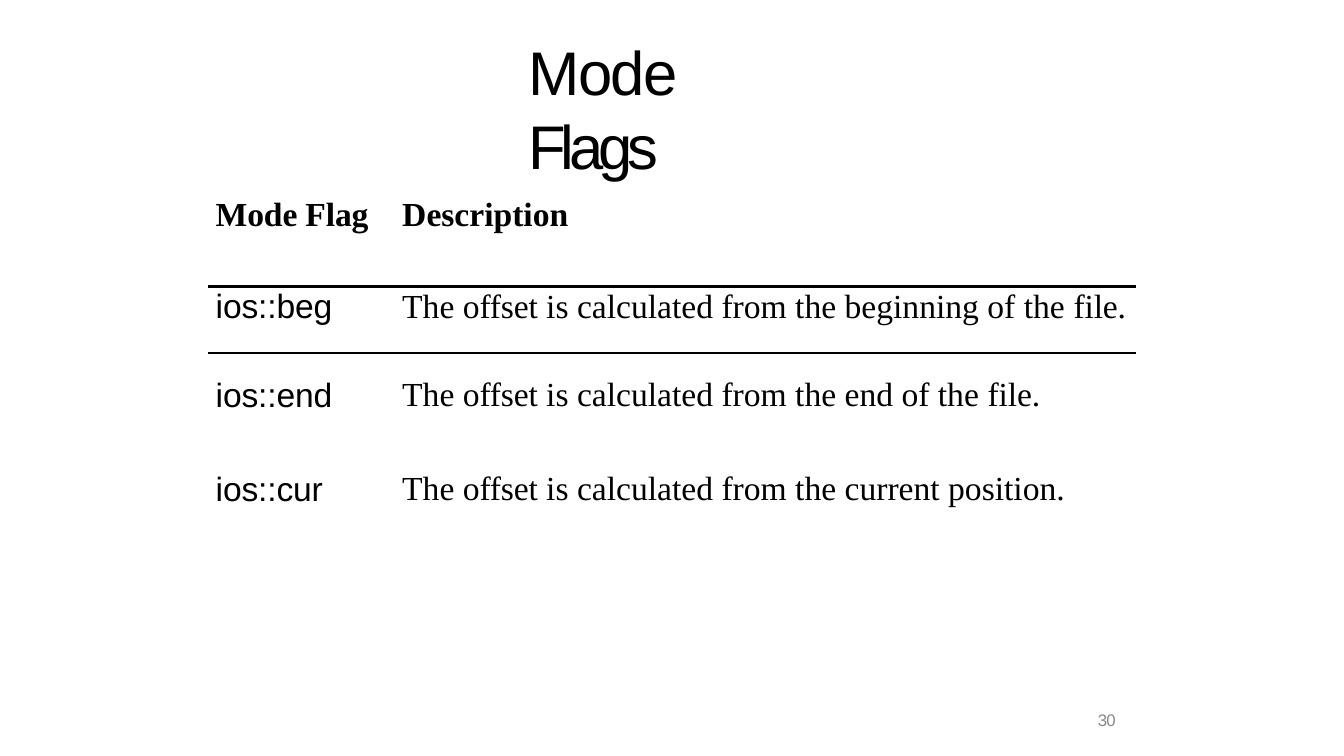
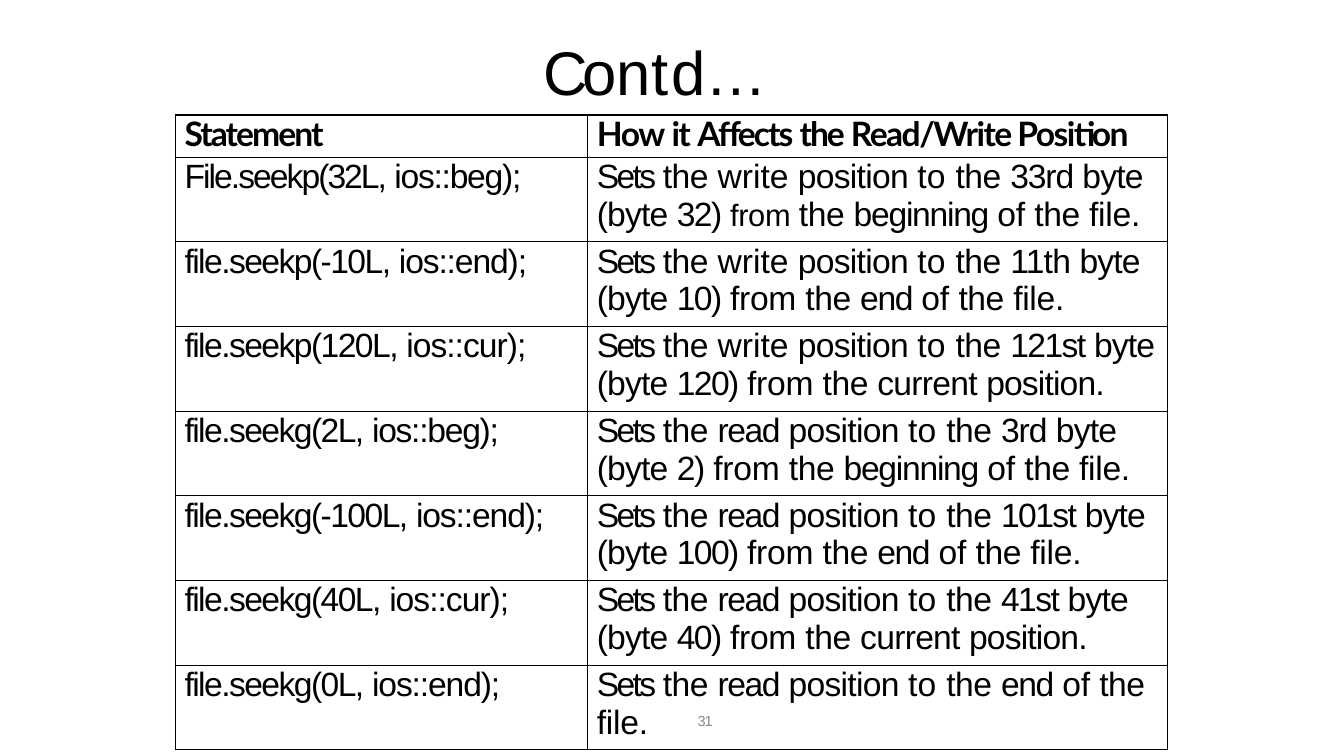
from lxml import etree
from pptx import Presentation
from pptx.dml.color import RGBColor
from pptx.enum.text import MSO_ANCHOR, MSO_AUTO_SIZE, PP_ALIGN
from pptx.oxml.ns import qn
from pptx.util import Pt

PX = 9144
TOP, LEFT = MSO_ANCHOR.TOP, PP_ALIGN.LEFT
GROW = MSO_AUTO_SIZE.SHAPE_TO_FIT_TEXT
TITLE_ONLY = 5
PLAIN_TABLE = "{2D5ABB26-0587-4C30-8999-92F81FD0307C}"
COLORS = {"ink": "000000", "number": "888888"}
SANS, SERIF, HEADING = "Arial", "Times New Roman", "Lato"

HEADING_TRACKING = {"Statement": -1.4, "How": -1, "it": -1.2, "Affects": -1.4, "the": -1.5}
FLAG_TRACKING = {"offset": -0.1, "file.": -0.1}
SEEK_TRACKING = {
    "Sets": -1.9, "the": -0.3, "write": 0, "read": -1, "position": -0.5, "to": 0.2,
    "33rd": -0.8, "11th": -0.5, "3rd": -0.7, "byte": -0.6, "(byte": -0.6, "2)": -0.9,
    "from": -0.2, "beginning": -0.9, "end": -1, "of": -0.1, "current": -0.5,
    "file.": -0.2, "position.": -0.6, "File.seekp(32L,": -1.4,
    "ios::beg);": -0.9, "ios::end);": -0.8, "ios::cur);": -0.7,
}

FLAGS = [
    ("Mode Flag", "Description"),
    ("ios::beg", "The offset is calculated from the beginning of the file."),
    ("ios::end", "The offset is calculated from the end of the file."),
    ("ios::cur", "The offset is calculated from the current position."),
]
FLAG_LEADING = [26.2, 28, None, 28.2]
FLAG_RULES = [{"B": 2.25}, {"T": 2.25, "B": 1.5}, {"T": 1.5}, {}]

SEEKS = [
    ("File.seekp(32L, ios::beg);", "Sets the write position to the 33rd byte",
     "(byte 32) from the beginning of the file."),
    ("file.seekp(-10L, ios::end);", "Sets the write position to the 11th byte",
     "(byte 10) from the end of the file."),
    ("file.seekp(120L, ios::cur);", "Sets the write position to the 121st byte",
     "(byte 120) from the current position."),
    ("file.seekg(2L, ios::beg);", "Sets the read position to the 3rd byte",
     "(byte 2) from the beginning of the file."),
    ("file.seekg(-100L, ios::end);", "Sets the read position to the 101st byte",
     "(byte 100) from the end of the file."),
    ("file.seekg(40L, ios::cur);", "Sets the read position to the 41st byte",
     "(byte 40) from the current position."),
    ("file.seekg(0L, ios::end);", "Sets the read position to the end of the",
     "file.\t"),
]


def write(paragraph, text, font=SANS, size=24, color="ink", bold=False, tracking=0, baseline=0):
    run = paragraph.add_run()
    run.text = text
    run.font.name, run.font.size, run.font.bold = font, Pt(size), bold
    run.font.color.rgb = RGBColor.from_string(COLORS[color])
    properties = run.font._element
    properties.set("spc", str(round(tracking * 100)))
    if baseline:
        properties.set("baseline", str(baseline * 1000))


def write_words(paragraph, text, tracking, default=0, sizes=None, **style):
    words = text.split(" ")
    for index, word in enumerate(words):
        gap = " " if index < len(words) - 1 else ""
        key = word.strip()
        write(paragraph, word + gap, tracking=tracking.get(key, default),
              size=(sizes or {}).get(key, 24), **style)


def layout_line(paragraph, indent, before=0, leading=None, tab=None):
    paragraph.alignment = LEFT
    paragraph.space_before = Pt(before)
    if leading:
        paragraph.line_spacing = Pt(leading)
    properties = paragraph._p.get_or_add_pPr()
    properties.set("marL", str(indent * PX))
    properties.set("indent", "0")
    if tab:
        stops = etree.SubElement(properties, qn("a:tabLst"))
        etree.SubElement(stops, qn("a:tab"), pos=str(tab * PX), algn="l")
    return paragraph


class Deck:
    def __init__(self):
        self.file = Presentation()
        self.file.slide_width, self.file.slide_height = 1333 * PX, 750 * PX
        self.slide = None

    def add_slide(self, left, width, indent, pieces):
        self.slide = self.file.slides.add_slide(self.file.slide_layouts[TITLE_ONLY])
        title = self.slide.shapes.title
        title.left, title.top, title.width, title.height = (
            length * PX for length in (left, 33, width, 76))
        line = self.frame(title, indent, 1.1)
        for text, tracking in pieces:
            write(line, text, size=44, tracking=tracking)

    def frame(self, shape, indent, before):
        frame = shape.text_frame
        frame.margin_left = frame.margin_right = frame.margin_bottom = 0
        frame.margin_top = PX
        frame.word_wrap, frame.auto_size = True, GROW
        frame.vertical_anchor = TOP
        return layout_line(frame.paragraphs[0], indent, before)

    def page_number(self, left, top, number):
        box = self.slide.shapes.add_textbox(left * PX, top * PX, 20 * PX, 22 * PX)
        write(self.frame(box, 1, 1), number, size=12, color="number", tracking=-0.6)

    def table(self, left, top, widths, heights):
        table = self.slide.shapes.add_table(
            len(heights), len(widths), left * PX, top * PX,
            sum(widths) * PX, sum(heights) * PX).table
        table.first_row = table.horz_banding = False
        table._tbl.tblPr.find(qn("a:tableStyleId")).text = PLAIN_TABLE
        for column, width in zip(table.columns, widths):
            column.width = width * PX
        for row, height in zip(table.rows, heights):
            row.height = height * PX
        return table

    def cell(self, cell, borders, inset=0):
        cell.margin_left = cell.margin_right = cell.margin_bottom = 0
        cell.margin_top = inset * PX
        cell.vertical_anchor = TOP
        properties = cell._tc.get_or_add_tcPr()
        for side in "LRTB":
            points = borders.get(side, 0)
            edge = etree.SubElement(properties, qn(f"a:ln{side}"), w=str(Pt(points)))
            if points:
                fill = etree.SubElement(edge, qn("a:solidFill"))
                etree.SubElement(fill, qn("a:srgbClr"), val=COLORS["ink"])
            else:
                etree.SubElement(edge, qn("a:noFill"))
        cell.fill.background()
        return cell.text_frame


def mode_flags(deck):
    deck.add_slide(523, 288, 1, [("Mode ", -1.1), ("Flags", -3.7)])
    deck.page_number(1088, 703, "30")
    table = deck.table(206, 196, [177, 744], [88, 66, 91, 64])
    for row, entry in enumerate(FLAGS):
        spaced = row > 1
        for column, text in enumerate(entry):
            frame = deck.cell(table.cell(row, column), FLAG_RULES[row], 24 if spaced else 0)
            line = layout_line(frame.paragraphs[0], (8, 16)[column],
                               17 if spaced else 0, FLAG_LEADING[row])
            code = row and column == 0
            write_words(line, text, FLAG_TRACKING, default=0 if column else -0.1,
                        font=SANS if code else SERIF, bold=row == 0)


def seek_examples(deck):
    deck.add_slide(537, 259, 2,
                   [("Co", -3.9), ("n", -3.5), ("t", 2), ("d", -1.4), ("…", -13.6)])
    table = deck.table(174, 114, [409, 575], [42] + [84] * len(SEEKS))
    grid = dict.fromkeys("LRTB", 1)
    for column, heading in enumerate(("Statement", "How it Affects the Read/Write Position")):
        frame = deck.cell(table.cell(0, column), grid)
        line = layout_line(frame.paragraphs[0], 9, leading=27.4)
        write_words(line, heading, HEADING_TRACKING, default=-1.1, font=HEADING, bold=True)
    for row, (statement, first, second) in enumerate(SEEKS, 1):
        last = row == len(SEEKS)
        call = deck.cell(table.cell(row, 0), grid)
        effect = deck.cell(table.cell(row, 1), grid)
        for paragraph, text in ((call.paragraphs[0], statement), (effect.paragraphs[0], first)):
            write_words(layout_line(paragraph, 9, leading=27.4), text, SEEK_TRACKING, default=-1.1)
        ending = layout_line(effect.add_paragraph(), 9, before=0.1, tab=506 if last else None)
        write_words(ending, second, SEEK_TRACKING, default=-1.1,
                    sizes={"from": 22} if row == 1 else None)
        if last:
            write(ending, "31", size=18, color="number", tracking=-0.9, baseline=30)


def main():
    deck = Deck()
    mode_flags(deck)
    seek_examples(deck)
    deck.file.save("out.pptx")


if __name__ == "__main__":
    main()
